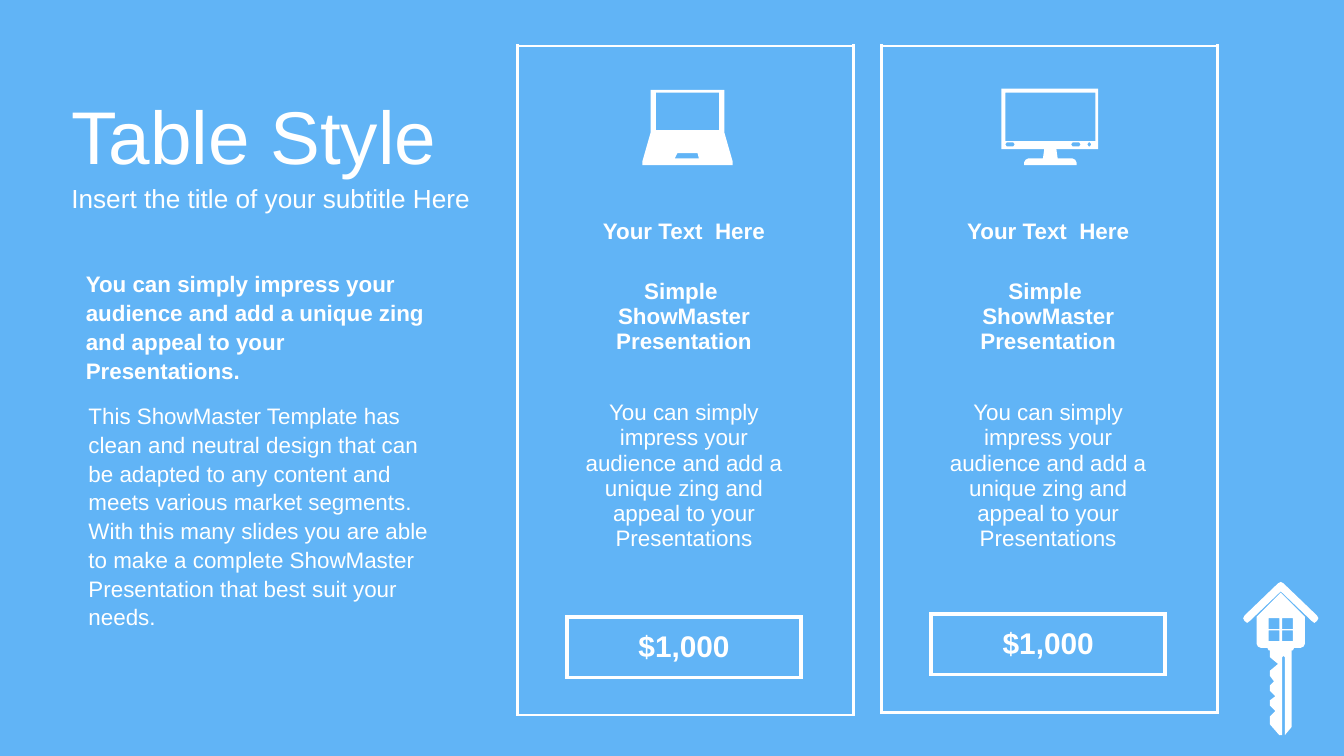
from lxml import etree
from pptx import Presentation
from pptx.dml.color import RGBColor
from pptx.enum.text import MSO_ANCHOR, MSO_AUTO_SIZE, PP_ALIGN
from pptx.oxml.ns import qn
from pptx.util import Pt

WHITE = RGBColor(0xFF, 0xFF, 0xFF)
SKY = RGBColor(0x61, 0xB4, 0xF6)
FONT = "Arial"
UNIT = 0.72  # points in one step of the icon grid

COLS = [26.6, 125.3, 28.1]
ROWS = [85.7, 28.1, 62.6, 108, 20.2, 32.4, 20.2]
PRICE = (5, 1)
CELLS = {
    (1, 1): ("Your Text  Here", 12, True),
    (2, 1): ("Simple  ShowMaster Presentation", 12, True),
    (3, 1): ("You can simply impress your audience and add a unique zing "
             "and appeal to your Presentations", 12, False),
    PRICE: ("$1,000", 16, True),
}
SIDES = {"L": (0, -1), "R": (0, 1), "T": (-1, 0), "B": (1, 0)}


def box(x, y, w, h):
    return [(x, y), (x, y + h), (x + w, y + h), (x + w, y)]


def pill(x, w):
    """Small rounded mark on the foot of the monitor screen."""
    return [(x, 41.5), (x + 1, 40), (x + w - 1, 40),
            (x + w, 41.5), (x + w - 1, 43), (x + 1, 43)]


SHAFT = [(20, 51), (36, 51), (36, 108), (31, 114), (31, 56), (30, 55), (29, 56),
         (29, 114), (27, 114), (20, 106), (20, 100), (24, 96), (20, 92), (20, 88),
         (24, 85), (20, 81), (20, 77), (23, 74), (20, 70), (20, 66), (26, 61), (20, 56)]
HOUSE = [(28, 8), (46, 26), (46, 46), (45, 48), (43, 49), (38, 49), (37, 51),
         (19, 51), (18, 49), (13, 49), (11, 48), (10, 46), (10, 26)]
ROOF = [(28, 0), (30, 1), (55, 25), (56, 27), (55, 29), (53, 30.5), (51, 29), (28, 7),
        (5, 29), (3, 30.5), (1, 29), (0, 27), (1, 25), (26, 1)]
KEY = [SHAFT, HOUSE, ROOF] + [box(x, y, 8, 8) for x in (19, 29) for y in (27, 36)]
LAPTOP = [
    [(6, 0), (61, 0), (61, 32), (67, 53), (67, 56), (0, 56), (0, 53), (6, 32)],
    box(10, 2, 47, 28),
    [(26, 47), (24, 51), (42, 51), (41, 47)],
]
MONITOR = [
    [(0, 0), (72, 0), (72, 45), (41, 45), (42, 52), (53, 52), (55, 53), (56, 55),
     (56, 57), (17, 57), (17, 55), (18, 53), (20, 52), (31, 52), (32, 45), (0, 45)],
    box(3, 3, 67, 36), pill(3, 7), pill(52, 7), pill(64, 3),
]


def write(frame, text, size=12, bold=False, align=PP_ALIGN.LEFT, gap=None):
    para = frame.paragraphs[0]
    para.alignment = align
    para.space_before = Pt(0)
    if gap:
        para.line_spacing = gap
    run = para.add_run()
    run.text = text
    font = run.font
    font.name, font.size, font.bold = FONT, Pt(size), bold
    font.color.rgb = WHITE


def edge(row, col, side):
    """Border width in points; 0 where the cell has none on that side."""
    down, right = SIDES[side]
    near = (row + down, col + right)
    if PRICE in ((row, col), near):
        return 2.25
    inside = 0 <= near[0] < len(ROWS) and 0 <= near[1] < len(COLS)
    return 0 if inside else 1.5


def rule(cell, side, width):
    line = etree.SubElement(cell._tc.get_or_add_tcPr(), qn("a:ln" + side))
    line.set("w", str(Pt(width)))
    if width:
        fill = etree.SubElement(line, qn("a:solidFill"))
        etree.SubElement(fill, qn("a:srgbClr")).set("val", str(WHITE))
    else:
        etree.SubElement(line, qn("a:noFill"))


class Deck:
    """Holds the look of the deck and the slide being built."""

    def __init__(self):
        self.prs = Presentation()
        self.prs.slide_width, self.prs.slide_height = Pt(720), Pt(405)
        self.slide = self.prs.slides.add_slide(self.prs.slide_layouts[1])
        self.shapes = self.slide.shapes
        back = self.slide.background.fill
        back.solid()
        back.fore_color.rgb = SKY

    def holder(self, index, text, top, height, size):
        shape = self.slide.placeholders[index]
        shape.left, shape.top = Pt(31), Pt(top)
        shape.width, shape.height = Pt(238.3), Pt(height)
        frame = shape.text_frame
        frame.auto_size = MSO_AUTO_SIZE.NONE
        frame.vertical_anchor = MSO_ANCHOR.MIDDLE
        props = frame.paragraphs[0]._p.get_or_add_pPr()
        props.set("marL", "0")
        props.set("indent", "0")
        etree.SubElement(props, qn("a:buNone"))
        write(frame, text, size=size)

    def note(self, text, left, top, width, height, **style):
        frame = self.shapes.add_textbox(
            Pt(left), Pt(top), Pt(width), Pt(height)).text_frame
        frame.word_wrap = True
        write(frame, text, gap=1.07, **style)

    def icon(self, left, top, loops):
        def place(loop):
            return [(Pt(left + x * UNIT), Pt(top + y * UNIT)) for x, y in loop]

        first, *rest = map(place, loops)
        pen = self.shapes.build_freeform(*first[0])
        pen.add_line_segments(first[1:])
        for loop in rest:
            pen.move_to(*loop[0])
            pen.add_line_segments(loop[1:])
        shape = pen.convert_to_shape()
        shape.shadow.inherit = False
        shape.fill.solid()
        shape.fill.fore_color.rgb = WHITE
        shape.line.fill.background()

    def table(self, left, top, rows):
        table = self.shapes.add_table(
            len(rows), len(COLS), Pt(left), Pt(top), Pt(sum(COLS)), Pt(sum(rows))).table
        table.first_row = table.horz_banding = False
        for col, width in enumerate(COLS):
            table.columns[col].width = Pt(width)
        for row, height in enumerate(rows):
            table.rows[row].height = Pt(height)
            for col in range(len(COLS)):
                self.cell(table.cell(row, col), row, col)

    def cell(self, cell, row, col):
        for side in SIDES:
            rule(cell, side, edge(row, col, side))
        cell.fill.background()
        cell.vertical_anchor = MSO_ANCHOR.MIDDLE
        if (row, col) in CELLS:
            text, size, bold = CELLS[row, col]
            write(cell.text_frame, text, size=size, bold=bold, align=PP_ALIGN.CENTER)
        else:
            para = cell.text_frame.paragraphs[0]._p
            etree.SubElement(para, qn("a:endParaRPr")).set("sz", "1000")


def main():
    deck = Deck()
    deck.icon(666, 311.8, KEY)
    deck.holder(0, "Table Style", 49.7, 45.4, 40)
    deck.holder(1, "Insert the title of your subtitle Here", 95, 22.3, 14)
    deck.note("You can simply impress your audience and add a unique zing and "
              "appeal to your Presentations.", 38.9, 140.4, 201.6, 65.5, bold=True)
    deck.note("This ShowMaster Template has clean and neutral design that can be "
              "adapted to any content and meets various market segments. With this "
              "many slides you are able to make a complete ShowMaster Presentation "
              "that best suit your needs.", 40.3, 211, 200.2, 124.6)
    tall = ROWS[:4] + [ROWS[4] + 1.4] + ROWS[5:]
    deck.table(277.2, 24.5, tall)
    deck.table(472.3, 24.5, ROWS)
    deck.icon(344.2, 48.2, LAPTOP)
    deck.icon(536.4, 47.5, MONITOR)
    deck.prs.save("out.pptx")


if __name__ == "__main__":
    main()
